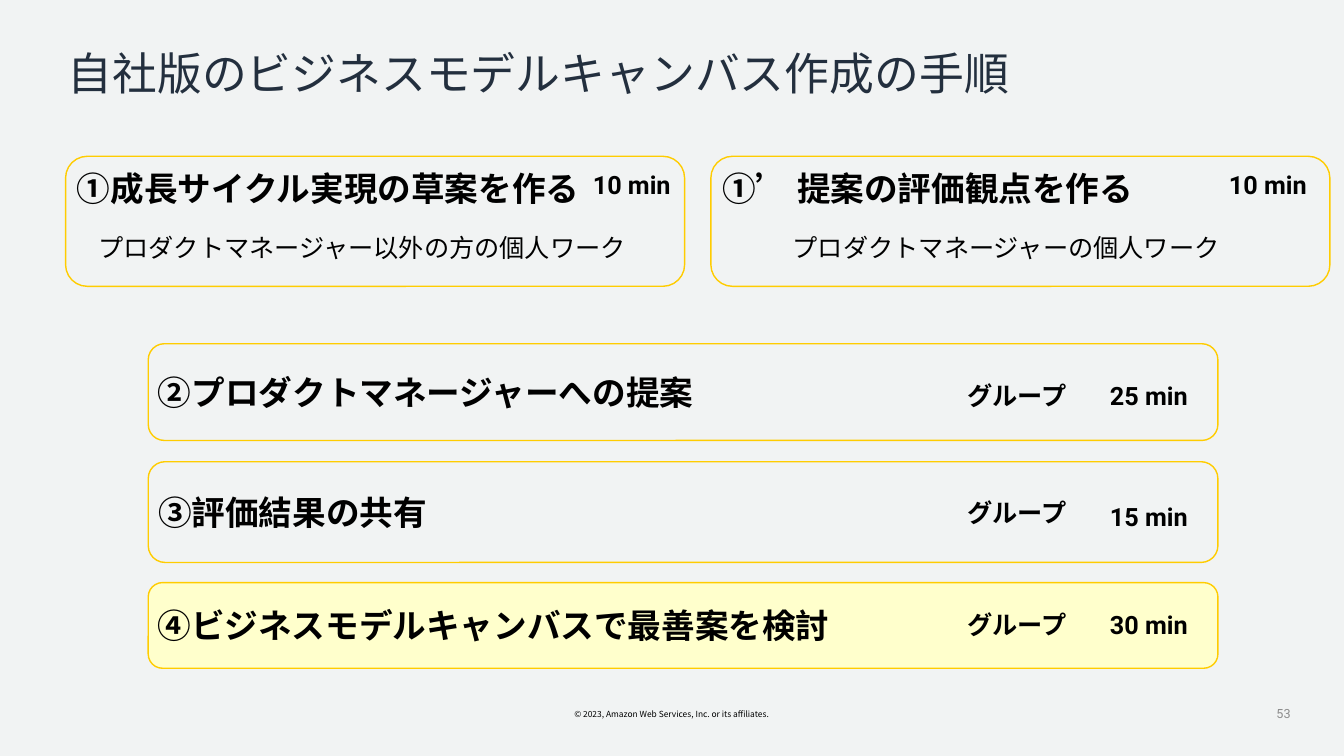
from dataclasses import dataclass

from lxml.etree import SubElement
from pptx import Presentation
from pptx.dml.color import RGBColor
from pptx.enum.shapes import MSO_SHAPE as Preset
from pptx.enum.text import MSO_ANCHOR as Anchor, MSO_AUTO_SIZE as AutoSize, PP_ALIGN as Align
from pptx.oxml.ns import qn
from pptx.shapes.autoshape import Shape
from pptx.slide import Slide
from pptx.text.text import TextFrame
from pptx.util import Inches, Pt

SLIDE_W, SLIDE_H = Inches(13.33), Inches(7.5)
BACKGROUND = RGBColor(0xF1, 0xF3, 0xF3)
NAVY = RGBColor(0x23, 0x2F, 0x3E)
BLACK = RGBColor(0, 0, 0)
GRAY = RGBColor(0x8C, 0x8C, 0x8C)
YELLOW = RGBColor(0xFF, 0xCC, 0x00)
PALE_YELLOW = RGBColor(0xFF, 0xFF, 0xCC)
JAPANESE, LATIN = "Noto Sans CJK JP", "Roboto"


@dataclass(frozen=True)
class Area:
    """Left, top, width and height in percent of the slide."""
    left: float
    top: float
    width: float
    height: float

    def emu(self) -> tuple[int, int, int, int]:
        return (int(SLIDE_W * self.left / 100), int(SLIDE_H * self.top / 100),
                int(SLIDE_W * self.width / 100), int(SLIDE_H * self.height / 100))


@dataclass(frozen=True)
class Style:
    size: float
    font: str = JAPANESE
    color: RGBColor = BLACK
    bold: bool = False
    align: Align = Align.CENTER


@dataclass(frozen=True)
class SoloWork:
    heading: str
    note: str
    left: float
    note_left: float
    time_left: float


@dataclass(frozen=True)
class GroupStep:
    heading: str
    minutes: str
    top: float
    height: float
    group_top: float
    time_top: float
    fill: RGBColor | None = None


TITLE = Style(32, color=NAVY, align=Align.LEFT)
HEADING = Style(24, bold=True, align=Align.LEFT)
NOTE = Style(18)
GROUP = Style(18, bold=True)
TIME = Style(18, LATIN, bold=True)
COPYRIGHT = Style(6)
PAGE_NUMBER = Style(9, LATIN, GRAY, align=Align.RIGHT)

CARD_TOP, CARD_W, CARD_H = 20.67, 46.06, 17.2
NOTE_TOP, NOTE_W = 30.13, 43.81
STEP_LEFT, STEP_W = 11.03, 79.59
GROUP_LEFT, TIME_LEFT, TIME_TOP = 70.44, 80.27, 21.73
LABEL_W, LABEL_H = 10.43, 5.33

SOLO_WORKS = (
    SoloWork("①成長サイクル実現の草案を作る", "プロダクトマネージャー以外の方の個人ワーク", 4.88, 5.03, 41.79),
    SoloWork("①’ 提案の評価観点を作る", "プロダクトマネージャーの個人ワーク", 52.89, 52.96, 89.12),
)
GROUP_STEPS = (
    GroupStep("②プロダクトマネージャーへの提案", "25 min", 45.47, 12.8, 49.6, 49.6),
    GroupStep("③評価結果の共有", "15 min", 61.07, 13.33, 65.07, 65.6),
    GroupStep("④ビジネスモデルキャンバスで最善案を検討", "30 min", 77.07, 11.33, 80, 80, PALE_YELLOW),
)


def write(frame: TextFrame, text: str, style: Style) -> None:
    paragraph = frame.paragraphs[0]
    paragraph.alignment = style.align
    run = paragraph.add_run()
    run.text = text
    run.font.size = Pt(style.size)
    run.font.bold = style.bold
    run.font.color.rgb = style.color
    run.font.name = style.font
    SubElement(run.font._element, qn("a:ea"), typeface=style.font)


def add_label(slide: Slide, area: Area, text: str, style: Style, inset: float = 0) -> TextFrame:
    frame = slide.shapes.add_textbox(*area.emu()).text_frame
    frame.word_wrap = True
    frame.auto_size = AutoSize.SHAPE_TO_FIT_TEXT
    frame.margin_left = frame.margin_right = Inches(inset)
    write(frame, text, style)
    return frame


def add_card(slide: Slide, area: Area, heading: str, anchor: Anchor,
             fill: RGBColor | None = None) -> Shape:
    card = slide.shapes.add_shape(Preset.ROUNDED_RECTANGLE, *area.emu())
    card.shadow.inherit = False
    if fill is None:
        card.fill.background()
    else:
        card.fill.solid()
        card.fill.fore_color.rgb = fill
    card.line.color.rgb = YELLOW
    card.line.width = Pt(1)
    frame = card.text_frame
    frame.word_wrap = True
    frame.vertical_anchor = anchor
    frame.margin_left = frame.margin_right = Inches(0.05)
    frame.margin_top = frame.margin_bottom = Inches(0.05)
    write(frame, heading, HEADING)
    return card


def add_solo_work(slide: Slide, work: SoloWork) -> None:
    add_card(slide, Area(work.left, CARD_TOP, CARD_W, CARD_H), work.heading, Anchor.TOP)
    add_label(slide, Area(work.note_left, NOTE_TOP, NOTE_W, LABEL_H), work.note, NOTE)
    add_label(slide, Area(work.time_left, TIME_TOP, LABEL_W, LABEL_H), "10 min", TIME)


def add_group_step(slide: Slide, step: GroupStep) -> None:
    add_card(slide, Area(STEP_LEFT, step.top, STEP_W, step.height),
             step.heading, Anchor.MIDDLE, step.fill)
    add_label(slide, Area(GROUP_LEFT, step.group_top, LABEL_W, LABEL_H), "グループ", GROUP)
    add_label(slide, Area(TIME_LEFT, step.time_top, LABEL_W, LABEL_H), step.minutes, TIME)


def main() -> None:
    deck = Presentation()
    deck.slide_width, deck.slide_height = SLIDE_W, SLIDE_H
    slide = deck.slides.add_slide(deck.slide_layouts[6])
    slide.background.fill.solid()
    slide.background.fill.fore_color.rgb = BACKGROUND

    title = add_label(slide, Area(5.03, 6.13, 89.87, 8),
                      "自社版のビジネスモデルキャンバス作成の手順", TITLE)
    title.paragraphs[0].line_spacing = 0.9
    for work in SOLO_WORKS:
        add_solo_work(slide, work)
    for step in GROUP_STEPS:
        add_group_step(slide, step)

    footer = add_label(slide, Area(41.19, 93.2, 17.55, 2.67),
                       "© 2023, Amazon Web Services, Inc. or its affiliates.", COPYRIGHT, 0.1)
    footer.word_wrap = False
    page = add_label(slide, Area(77.49, 91.73, 19.28, LABEL_H), "53", PAGE_NUMBER, 0.1)
    page.auto_size = AutoSize.NONE
    page.vertical_anchor = Anchor.MIDDLE
    deck.save("out.pptx")


if __name__ == "__main__":
    main()
